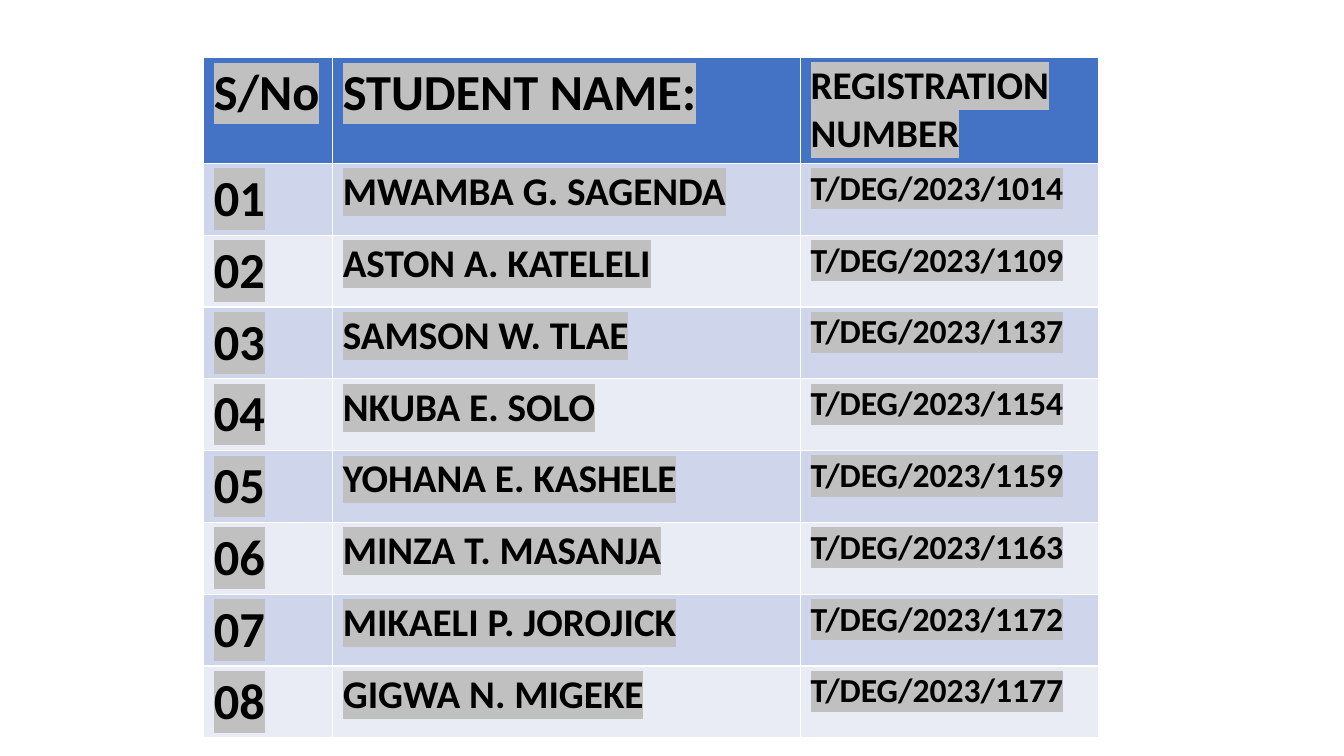
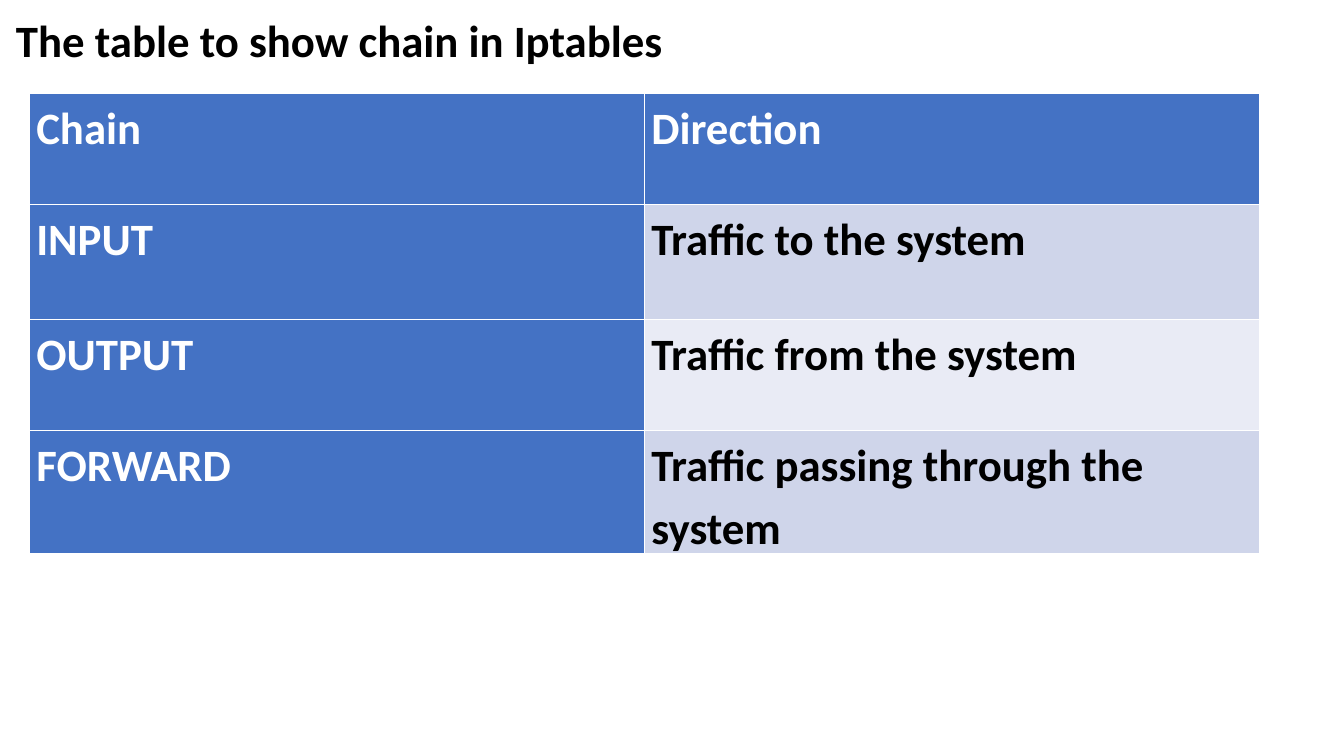
from lxml import etree
from pptx import Presentation
from pptx.dml.color import RGBColor
from pptx.oxml.ns import qn
from pptx.util import Inches, Pt

STUDENT_HEADINGS = ("S/No", "STUDENT NAME:", "REGISTRATION NUMBER")
STUDENTS = [
    ("MWAMBA G. SAGENDA", 1014),
    ("ASTON A. KATELELI", 1109),
    ("SAMSON W. TLAE", 1137),
    ("NKUBA E. SOLO", 1154),
    ("YOHANA E. KASHELE", 1159),
    ("MINZA T. MASANJA", 1163),
    ("MIKAELI P. JOROJICK", 1172),
    ("GIGWA N. MIGEKE", 1177),
]
CHAIN_TITLE = "The table to show chain in Iptables"
CHAINS = [
    ("Chain", "Direction"),
    ("INPUT", "Traffic to the system"),
    ("OUTPUT", "Traffic from the system"),
    ("FORWARD", "Traffic passing through the system"),
]

FONT = "Calibri"
BLACK = RGBColor(0x00, 0x00, 0x00)
WHITE = RGBColor(0xFF, 0xFF, 0xFF)
BLUE = RGBColor(0x44, 0x72, 0xC4)
BANDS = (RGBColor(0xE9, 0xEB, 0xF5), RGBColor(0xCF, 0xD5, 0xEA))
HIGHLIGHT = RGBColor(0xC0, 0xC0, 0xC0)


def write_text(frame, content, size, color):
    paragraph = frame.paragraphs[0]
    run = paragraph.add_run()
    run.text = content
    font = paragraph.font
    font.name, font.size, font.bold = FONT, Pt(size), True
    font.color.rgb = color
    return paragraph


def space_out(paragraph):
    paragraph.line_spacing = 1.15
    paragraph.space_after = Pt(10)


def highlight(paragraph):
    for run in paragraph.runs:
        properties = run._r.get_or_add_rPr()
        mark = etree.SubElement(properties, qn("a:highlight"))
        etree.SubElement(mark, qn("a:srgbClr"), val=str(HIGHLIGHT))


def add_grid(slide, left, top, widths, heights):
    frame = slide.shapes.add_table(
        len(heights), len(widths), Inches(left), Inches(top),
        Inches(sum(widths)), Inches(sum(heights)))
    table = frame.table
    for column, width in zip(table.columns, widths):
        column.width = Inches(width)
    for row, height in zip(table.rows, heights):
        row.height = Inches(height)
    return table


def fill_cell(cell, color):
    cell.fill.solid()
    cell.fill.fore_color.rgb = color


def build_students(slide):
    rows = [STUDENT_HEADINGS] + [
        (f"{number:02}", name, f"T/DEG/2023/{registration}")
        for number, (name, registration) in enumerate(STUDENTS, 1)]
    heights = [1.03] + [0.71] * len(STUDENTS)
    table = add_grid(slide, 2.02, 0.57, (1.28, 4.64, 2.96), heights)
    for i, row in enumerate(rows):
        sizes = (36, 28, 24) if i else (36, 36, 28)
        for j, (content, size) in enumerate(zip(row, sizes)):
            cell = table.cell(i, j)
            fill_cell(cell, BANDS[i % 2] if i else BLUE)
            highlight(write_text(cell.text_frame, content, size, BLACK))


def build_chains(slide):
    title = slide.shapes.add_textbox(Inches(0.06), 0, Inches(13.2), Inches(0.85))
    title.text_frame.word_wrap = True
    space_out(write_text(title.text_frame, CHAIN_TITLE, 32, BLACK))

    table = add_grid(slide, 0.29, 0.93, (6.1, 6.1), (1.1, 1.14, 1.1, 1.1))
    table.first_col = True
    for i, row in enumerate(CHAINS):
        for j, content in enumerate(row):
            cell = table.cell(i, j)
            is_heading = i == 0 or j == 0
            fill_cell(cell, BLUE if is_heading else BANDS[i % 2])
            cell.margin_left = cell.margin_right = Inches(0.07)
            cell.margin_top = cell.margin_bottom = 0
            color = WHITE if is_heading else BLACK
            space_out(write_text(cell.text_frame, content, 32, color))


def main():
    presentation = Presentation()
    presentation.slide_width = Inches(13.33)
    presentation.slide_height = Inches(7.5)
    blank = presentation.slide_layouts[6]
    for build in (build_students, build_chains):
        build(presentation.slides.add_slide(blank))
    presentation.save("out.pptx")


if __name__ == "__main__":
    main()
